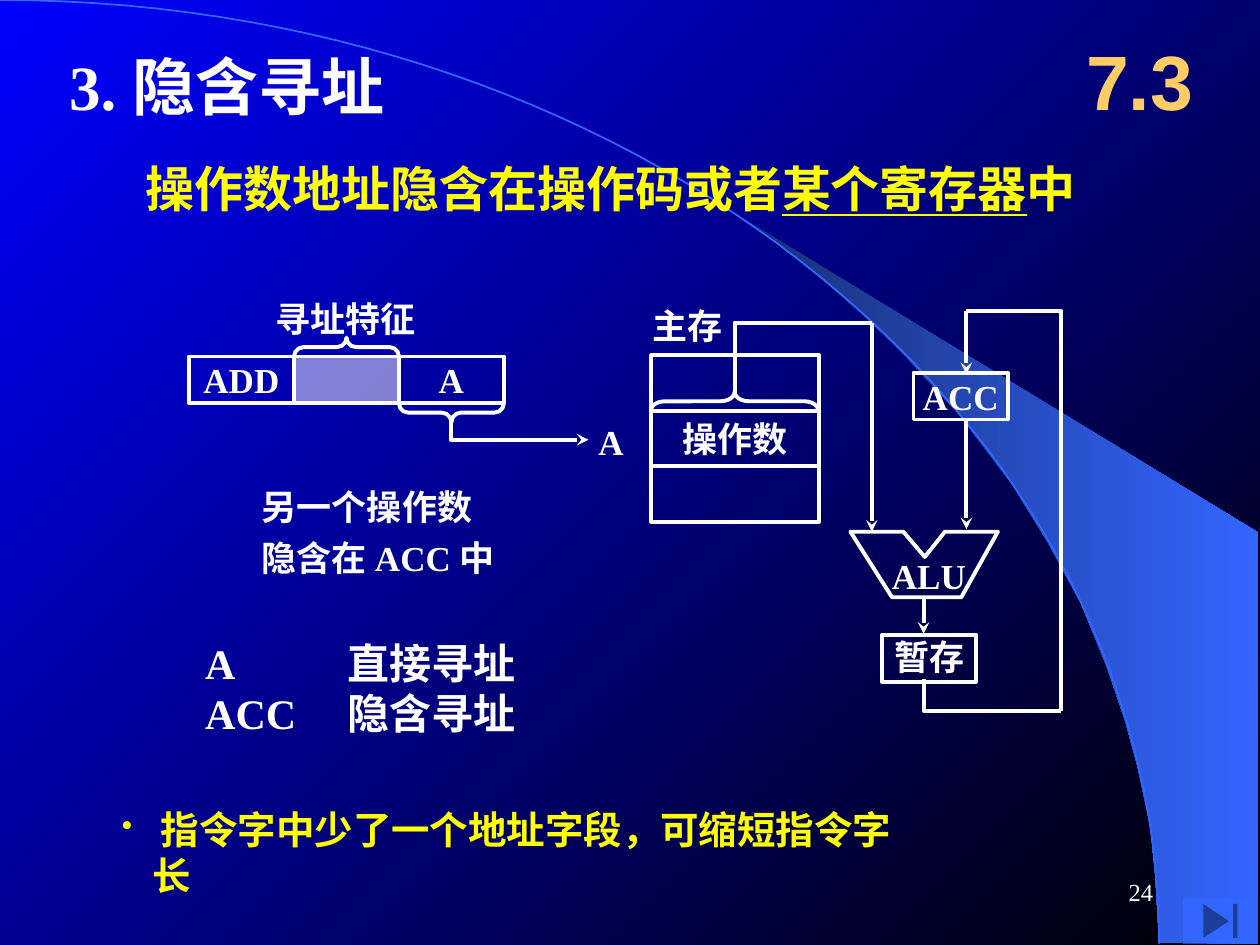
from lxml.etree import SubElement
from pptx import Presentation
from pptx.dml.color import RGBColor
from pptx.enum.shapes import MSO_CONNECTOR, MSO_SHAPE
from pptx.enum.text import MSO_ANCHOR, MSO_AUTO_SIZE, PP_ALIGN
from pptx.oxml.ns import qn
from pptx.util import Inches, Pt

COLORS = {
    "white": "FFFFFF", "yellow": "FFFF00", "gold": "FFCC66",
    "blue": "3366FF", "navy": "182F76", "bright": "0000FF", "black": "000000",
}
SERIF = "Times New Roman"


def rgb(name):
    return RGBColor.from_string(COLORS[name])


def set_gradient(fill, start, end, angle):
    fill.gradient()
    fill.gradient_angle = angle
    for stop, name, position in zip(fill.gradient_stops, (start, end), (0, 1)):
        stop.color.rgb = rgb(name)
        stop.position = position


def outline(shape, color="white", width=2.25):
    shape.line.color.rgb = rgb(color)
    shape.line.width = Pt(width)


def add_arrowhead(shape):
    SubElement(shape.line._get_or_add_ln(), qn("a:tailEnd"), type="stealth")


def style_paragraph(paragraph, size, color="white", font=SERIF, bold=True):
    paragraph.font.size = Pt(size)
    paragraph.font.name = font
    paragraph.font.bold = bold
    paragraph.font.color.rgb = rgb(color)


def add_label(slide, box, lines, size, color="white", font=SERIF, bold=True,
              wrap=False, align=PP_ALIGN.LEFT, middle=False):
    label = slide.shapes.add_textbox(*map(Inches, box))
    frame = label.text_frame
    frame.word_wrap = wrap
    if middle:
        frame.vertical_anchor = MSO_ANCHOR.MIDDLE
    else:
        frame.auto_size = MSO_AUTO_SIZE.SHAPE_TO_FIT_TEXT
    frame.text = "\n".join(lines)
    for paragraph in frame.paragraphs:
        paragraph.alignment = align
        style_paragraph(paragraph, size, color, font, bold)
    return frame


def add_cell(slide, box, text="", top_inset=0.05):
    cell = slide.shapes.add_shape(MSO_SHAPE.RECTANGLE, *map(Inches, box))
    cell.shadow.inherit = False
    cell.fill.background()
    outline(cell)
    if text:
        frame = cell.text_frame
        frame.word_wrap = False
        frame.margin_top = Inches(top_inset)
        frame.vertical_anchor = MSO_ANCHOR.MIDDLE
        frame.text = text
        frame.paragraphs[0].alignment = PP_ALIGN.CENTER
        style_paragraph(frame.paragraphs[0], 20)
    return cell


def add_brace(slide, center_x, center_y, span, rotation, curve):
    depth = 0.15
    brace = slide.shapes.add_shape(
        MSO_SHAPE.LEFT_BRACE, Inches(center_x - depth / 2),
        Inches(center_y - span / 2), Inches(depth), Inches(span))
    brace.rotation = rotation
    brace.adjustments[0] = curve
    brace.shadow.inherit = False
    brace.fill.background()
    outline(brace)


def add_path(slide, points, close=False, arrow=False):
    start, *rest = [(Inches(x), Inches(y)) for x, y in points]
    builder = slide.shapes.build_freeform(*start)
    builder.add_line_segments(rest, close=close)
    route = builder.convert_to_shape()
    route.shadow.inherit = False
    route.fill.background()
    outline(route)
    if arrow:
        add_arrowhead(route)
    return route


def add_arrow(slide, x, top, bottom):
    arrow = slide.shapes.add_connector(
        MSO_CONNECTOR.STRAIGHT, Inches(x), Inches(top), Inches(x), Inches(bottom))
    outline(arrow)
    add_arrowhead(arrow)
    SubElement(arrow._element.spPr, qn("a:effectLst"))


def add_backdrop(slide):
    set_gradient(slide.background.fill, "bright", "black", 315)
    beam = add_path(slide, [
        (9.2, 7.48), (9.99, 7.49), (9.99, 4.23), (5.89, 1.73), (6.24, 1.99),
        (6.53, 2.22), (6.85, 2.5), (7.16, 2.8), (7.62, 3.3), (8.03, 3.84),
        (8.32, 4.31), (8.58, 4.79), (8.78, 5.28), (8.93, 5.72), (9.03, 6.09),
        (9.13, 6.56), (9.17, 6.96)], close=True)
    set_gradient(beam.fill, "navy", "blue", 0)
    beam.line.fill.background()
    # Quarter arc as a cubic curve from the top left corner to the bottom
    steps = [i / 60 for i in range(61)]
    arc = add_path(slide, [
        (3 * 5.08 * t * (1 - t) ** 2 + 3 * 9.2 * t ** 2 * (1 - t) + 9.2 * t ** 3,
         3 * 3.35 * t ** 2 * (1 - t) + 7.49 * t ** 3) for t in steps])
    outline(arc, "blue", 1)


def add_headings(slide):
    add_label(slide, (0.45, 0.33, 2.82, 0.7), ["3. 隐含寻址"], 36)
    add_label(slide, (8.42, 0.17, 1.25, 0.92), ["7.3"], 44, "gold", "Arial",
              wrap=True, align=PP_ALIGN.CENTER, middle=True)
    summary = add_label(slide, (1.06, 1.21, 7.58, 0.57),
                        ["操作数地址隐含在操作码或者"], 28, "yellow").paragraphs[0]
    register = summary.add_run()
    register.text = "某个寄存器"
    register.font.underline = True
    summary.add_run().text = "中"


def add_instruction(slide):
    left, top, width, height = 1.5, 2.83, 0.833, 0.37
    fields = [add_cell(slide, (left + i * width, top, width, height), text)
              for i, text in enumerate(("ADD", "", "A"))]
    fields[1].fill.solid()
    fields[1].fill.fore_color.rgb = rgb("white")
    shade = fields[1].fill._xPr.find(qn("a:solidFill"))[0]
    SubElement(shade, qn("a:alpha"), val="50000")
    add_brace(slide, left + 1.5 * width, 2.755, width, 90, 0.5)
    add_label(slide, (2.09, 2.31, 1.31, 0.44), ["寻址特征"], 20)
    add_brace(slide, left + 2.5 * width, 3.275, width, 270, 0.5)
    add_path(slide, [(3.58, 3.35), (3.58, 3.49), (4.67, 3.49)], arrow=True)
    add_label(slide, (4.65, 3.29, 0.4, 0.44), ["A"], 20)


def add_memory(slide):
    for row, text in enumerate(("", "操作数", "")):
        add_cell(slide, (5.17, 2.82 + row * 0.44, 1.33, 0.44), text)
    add_label(slide, (5.08, 2.37, 0.8, 0.44), ["主存"], 20)
    add_brace(slide, 5.83, 3.185, 1.33, 90, 0.75)


def add_datapath(slide):
    add_cell(slide, (7.25, 2.96, 0.75, 0.37), "ACC")
    add_cell(slide, (7, 5.04, 0.75, 0.37), "暂存", top_inset=0.02)
    add_path(slide, [(6.75, 4.22), (7.17, 4.22), (7.34, 4.42), (7.5, 4.22),
                     (7.92, 4.22), (7.63, 4.74), (7.08, 4.74)], close=True)
    add_label(slide, (6.98, 4.35, 0.79, 0.44), ["ALU"], 20)
    # Memory to ALU, then the result back to ACC
    add_path(slide, [(5.83, 3.14), (5.83, 2.56), (6.92, 2.56)])
    add_path(slide, [(7.33, 5.39), (7.33, 5.64), (8.42, 5.64)])
    add_path(slide, [(8.42, 5.64), (8.42, 2.47), (7.67, 2.47)])
    for x, top, bottom in ((6.92, 2.56, 4.22), (7.67, 2.47, 2.97),
                           (7.67, 3.33, 4.2), (7.33, 4.74, 5.03)):
        add_arrow(slide, x, top, bottom)


def add_notes_on_modes(slide):
    other_operand = add_label(slide, (1.98, 3.74, 2.77, 0.9),
                              ["另一个操作数", "隐含在 ACC 中"], 20, wrap=True)
    for paragraph in other_operand.paragraphs:
        paragraph.line_spacing = 1.2

    modes = add_label(slide, (1.53, 5.01, 3.31, 0.9),
                      ["A\t直接寻址", "ACC\t隐含寻址"], 24, wrap=True)
    for paragraph in modes.paragraphs:
        stops = SubElement(paragraph._p.get_or_add_pPr(), qn("a:tabLst"))
        SubElement(stops, qn("a:tab"), pos=str(Inches(1.13)), algn="l")
        # Tab stops precede the default run properties
        stops.getparent().insert(0, stops)

    benefit = slide.shapes.add_textbox(*map(Inches, (0.87, 6.35, 6.53, 0.47)))
    benefit.text_frame.word_wrap = True
    paragraph = benefit.text_frame.paragraphs[0]
    paragraph.text = " 指令字中少了一个地址字段，可缩短指令字长"
    props = paragraph._p.get_or_add_pPr()
    props.set("marL", str(Inches(0.24)))
    props.set("indent", str(-Inches(0.24)))
    bullet_color = SubElement(props, qn("a:buClr"))
    SubElement(bullet_color, qn("a:srgbClr"), val=COLORS["yellow"])
    SubElement(props, qn("a:buSzPct"), val="80000")
    SubElement(props, qn("a:buChar"), char="•")
    style_paragraph(paragraph, 22, "yellow")


def add_footer(slide):
    button = slide.shapes.add_shape(
        MSO_SHAPE.ACTION_BUTTON_END, *map(Inches, (9.39, 7.13, 0.59, 0.36)))
    button.shadow.inherit = False
    button.fill.solid()
    button.fill.fore_color.rgb = rgb("blue")
    button.line.fill.background()
    add_label(slide, (7.17, 6.83, 2.08, 0.5), ["24"], 14, bold=False,
              wrap=True, align=PP_ALIGN.RIGHT, middle=True)


def main():
    prs = Presentation()
    prs.slide_width, prs.slide_height = Inches(10), Inches(7.5)
    slide = prs.slides.add_slide(prs.slide_layouts[6])
    for add_part in (add_backdrop, add_headings, add_instruction, add_memory,
                     add_datapath, add_notes_on_modes, add_footer):
        add_part(slide)
    prs.save("out.pptx")


if __name__ == "__main__":
    main()
